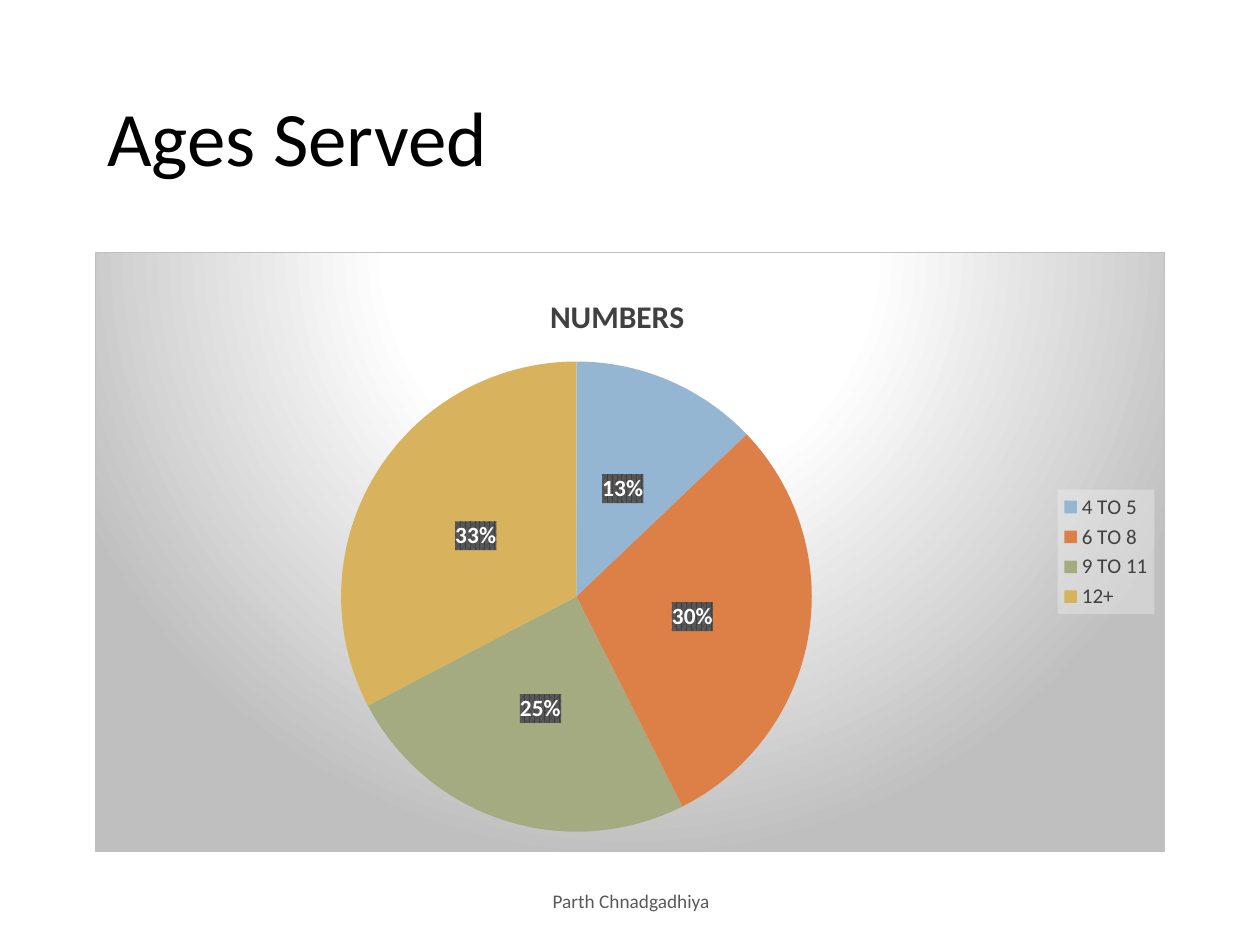
"""Build the Ages Served slide with a pie chart of age groups."""
import pptx
import pptx.chart.data
import pptx.dml.color
import pptx.enum.chart
import pptx.enum.text
import pptx.oxml
import pptx.oxml.ns
import pptx.util

TITLE = "Ages Served"
FOOTER = "Parth Chnadgadhiya"
CHART_TITLE = "NUMBERS"
AGES = [
    ("4 TO 5", 13, "94B6D2"),
    ("6 TO 8", 30, "DD8047"),
    ("9 TO 11", 25, "A5AB81"),
    ("12+", 33, "D8B25C"),
]
THEME = {
    "font": "Calibri",
    "title": {"size": 44, "color": "000000"},
    "footer": {"size": 11, "color": "595959"},
    "heading": {"size": 18, "color": "404040", "bold": True},
    "legend": {"size": 12, "color": "404040"},
    "label": {"size": 13.3, "color": "FFFFFF", "bold": True},
    "chart": {"size": 10, "color": "000000"},
}
PLACES = {
    "title": (54, 28.8, 612, 104.4),
    "chart": (54, 144, 612, 342.72),
    "footer": (239, 500.4, 243.4, 28.8),
}
PANEL_FILL = """<a:gradFill rotWithShape="1"><a:gsLst>
<a:gs pos="0"><a:srgbClr val="FFFFFF"/></a:gs>
<a:gs pos="39000"><a:srgbClr val="FFFFFF"/></a:gs>
<a:gs pos="100000"><a:srgbClr val="BFBFBF"/></a:gs></a:gsLst>
<a:path path="circle"><a:fillToRect l="50000" t="-80000" r="50000" b="180000"/></a:path>
</a:gradFill><a:ln w="9525"><a:solidFill><a:srgbClr val="BFBFBF"/></a:solidFill></a:ln>"""
LEGEND_FILL = """<a:solidFill><a:srgbClr val="F2F2F2"><a:alpha val="39000"/></a:srgbClr></a:solidFill>"""
LABEL_FILL = """<a:pattFill prst="pct75"><a:fgClr><a:srgbClr val="404040"/></a:fgClr>
<a:bgClr><a:srgbClr val="595959"/></a:bgClr></a:pattFill>"""


def chart_xml(tag, content):
    return pptx.oxml.parse_xml(f"<c:{tag} {pptx.oxml.ns.nsdecls('c', 'a')}>{content}</c:{tag}>")


def format_font(font, size, color, bold=False):
    font.name = THEME["font"]
    font.size = pptx.util.Pt(size)
    font.bold = bold
    font.color.rgb = pptx.dml.color.RGBColor.from_string(color)


def write_text(frame, text, align, spacing=None, **style):
    frame.word_wrap = True
    frame.vertical_anchor = pptx.enum.text.MSO_ANCHOR.MIDDLE
    para = frame.paragraphs[0]
    para.alignment = align
    para.line_spacing = spacing
    span = para.add_run()
    span.text = text
    format_font(span.font, **style)


def place(name):
    return [pptx.util.Pt(value) for value in PLACES[name]]


def set_layout(parent, position, **fractions):
    for old in parent.xpath("c:layout"):
        parent.remove(old)
    target = '<c:layoutTarget val="inner"/>' if "w" in fractions else ""
    modes = "".join(f'<c:{key}Mode val="edge"/>' for key in "xy")
    values = "".join(f'<c:{key} val="{value}"/>' for key, value in fractions.items())
    layout = chart_xml("layout", f"<c:manualLayout>{target}{modes}{values}</c:manualLayout>")
    parent.insert(position, layout)


def add_pie(slide):
    data = pptx.chart.data.CategoryChartData()
    data.categories = [age for age, value, color in AGES]
    data.add_series("Series 1", [value for age, value, color in AGES])
    pie_type = pptx.enum.chart.XL_CHART_TYPE.PIE
    chart = slide.shapes.add_chart(pie_type, *place("chart"), data).chart
    format_font(chart.font, **THEME["chart"])

    chart.has_title = True
    write_text(chart.chart_title.text_frame, CHART_TITLE,
               pptx.enum.text.PP_ALIGN.CENTER, **THEME["heading"])
    chart.chart_title.include_in_layout = False

    chart.has_legend = True
    chart.legend.position = pptx.enum.chart.XL_LEGEND_POSITION.RIGHT
    chart.legend.include_in_layout = False
    format_font(chart.legend.font, **THEME["legend"])

    plot = chart.plots[0]
    plot.vary_by_categories = True
    for index, (age, value, color) in enumerate(AGES):
        fill = plot.series[0].points[index].format.fill
        fill.solid()
        fill.fore_color.rgb = pptx.dml.color.RGBColor.from_string(color)

    labels = plot.series[0].data_labels
    labels.show_percentage = True
    labels.show_value = False
    labels.number_format = "0%"
    labels.number_format_is_linked = False
    labels.position = pptx.enum.chart.XL_LABEL_POSITION.CENTER
    format_font(labels.font, **THEME["label"])

    root = chart.element
    fills = {"c:txPr": PANEL_FILL, ".//c:legend/c:txPr": LEGEND_FILL,
             ".//c:ser/c:dLbls/c:txPr": LABEL_FILL}
    for target, fill in fills.items():
        root.xpath(target)[0].addprevious(chart_xml("spPr", fill))
    set_layout(root.xpath("c:chart/c:title")[0], 1, x=0.42, y=0.06)
    set_layout(root.xpath("c:chart/c:plotArea")[0], 0, x=0.23, y=0.18, w=0.44, h=0.79)


def main():
    deck = pptx.Presentation()
    deck.slide_width, deck.slide_height = pptx.util.Pt(720), pptx.util.Pt(540)
    slide = deck.slides.add_slide(deck.slide_layouts[5])
    title = slide.shapes.title
    title.left, title.top, title.width, title.height = place("title")
    write_text(title.text_frame, TITLE, pptx.enum.text.PP_ALIGN.LEFT,
               spacing=0.9, **THEME["title"])
    add_pie(slide)
    footer = slide.shapes.add_textbox(*place("footer"))
    write_text(footer.text_frame, FOOTER, pptx.enum.text.PP_ALIGN.CENTER, **THEME["footer"])
    deck.save("out.pptx")


if __name__ == "__main__":
    main()
